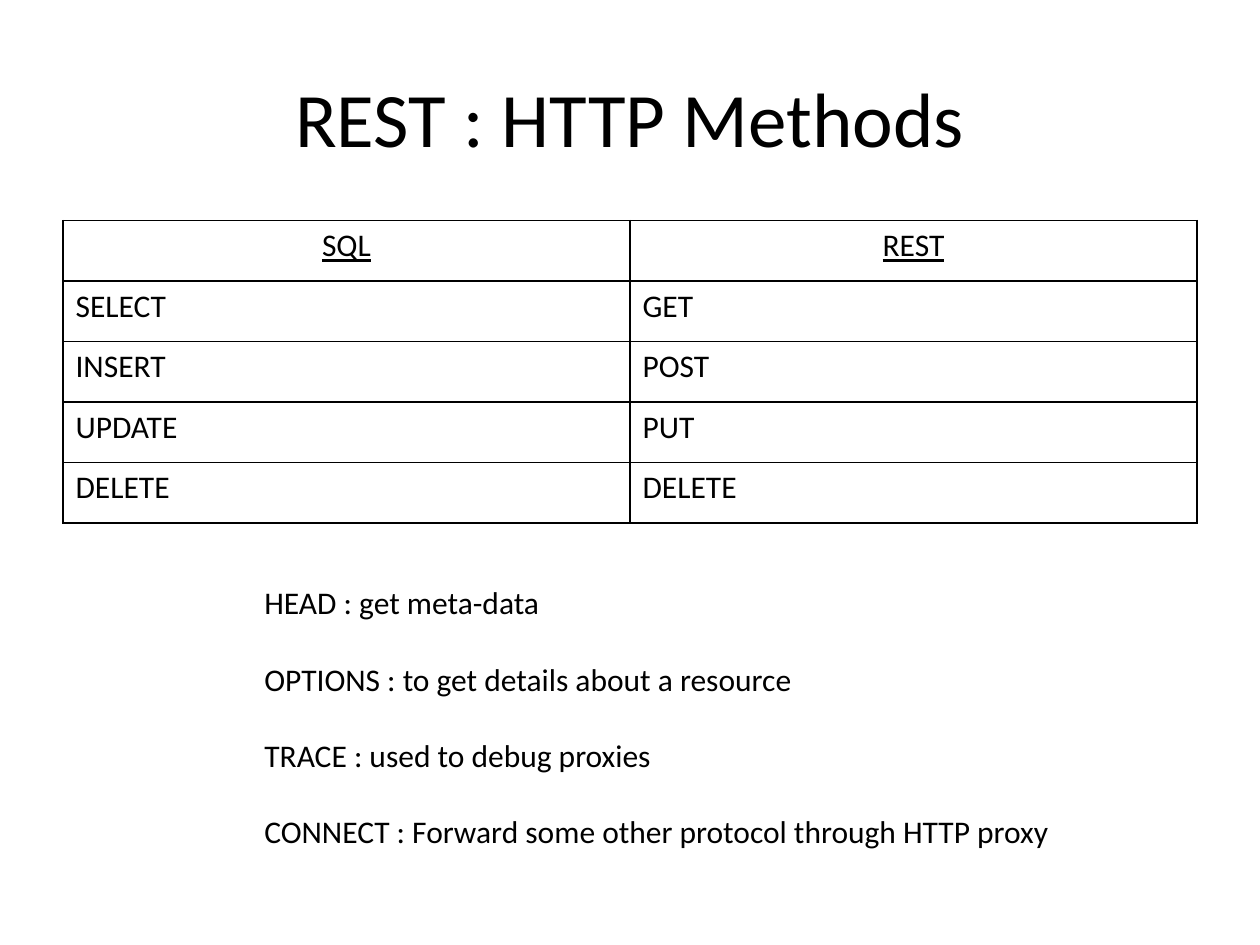
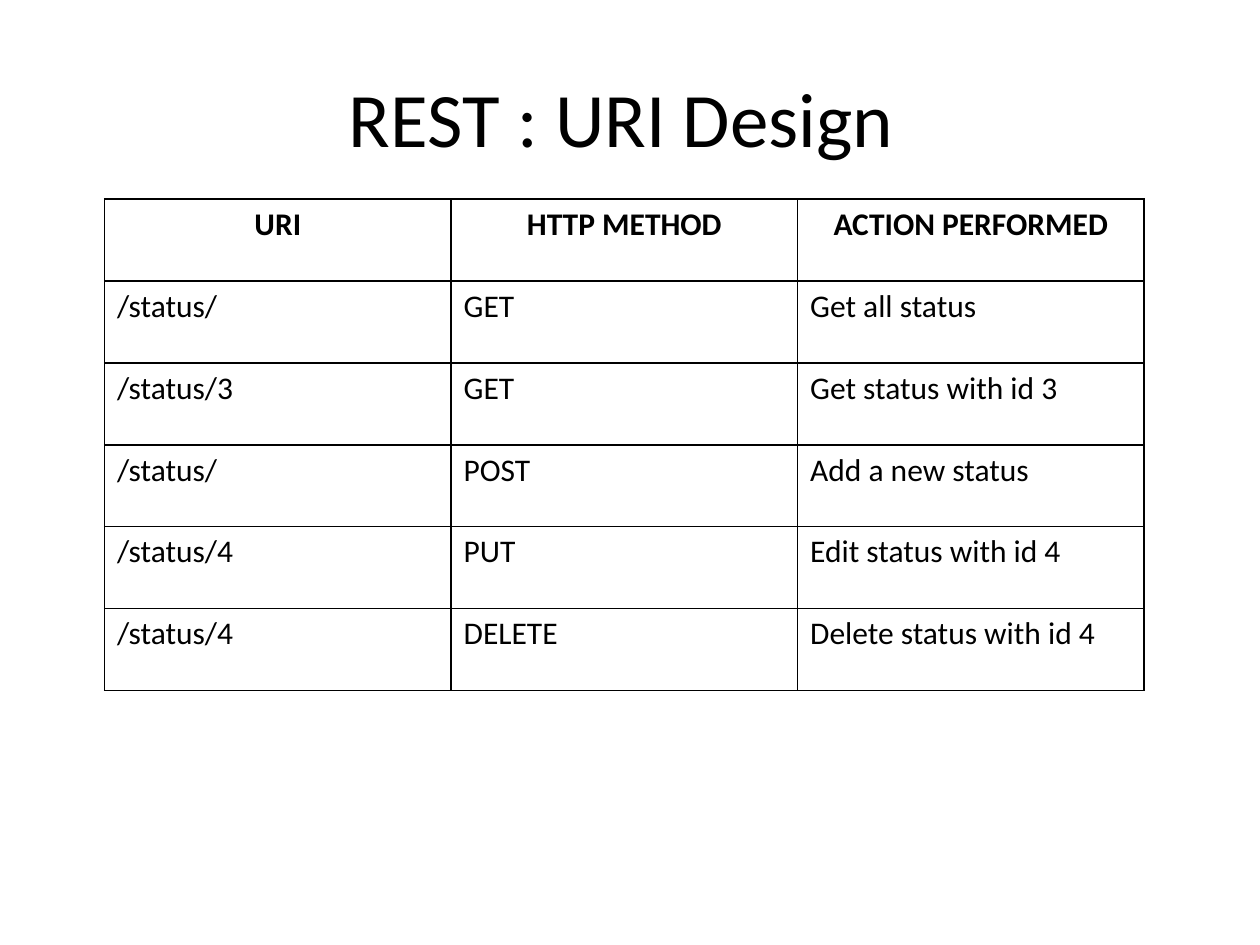
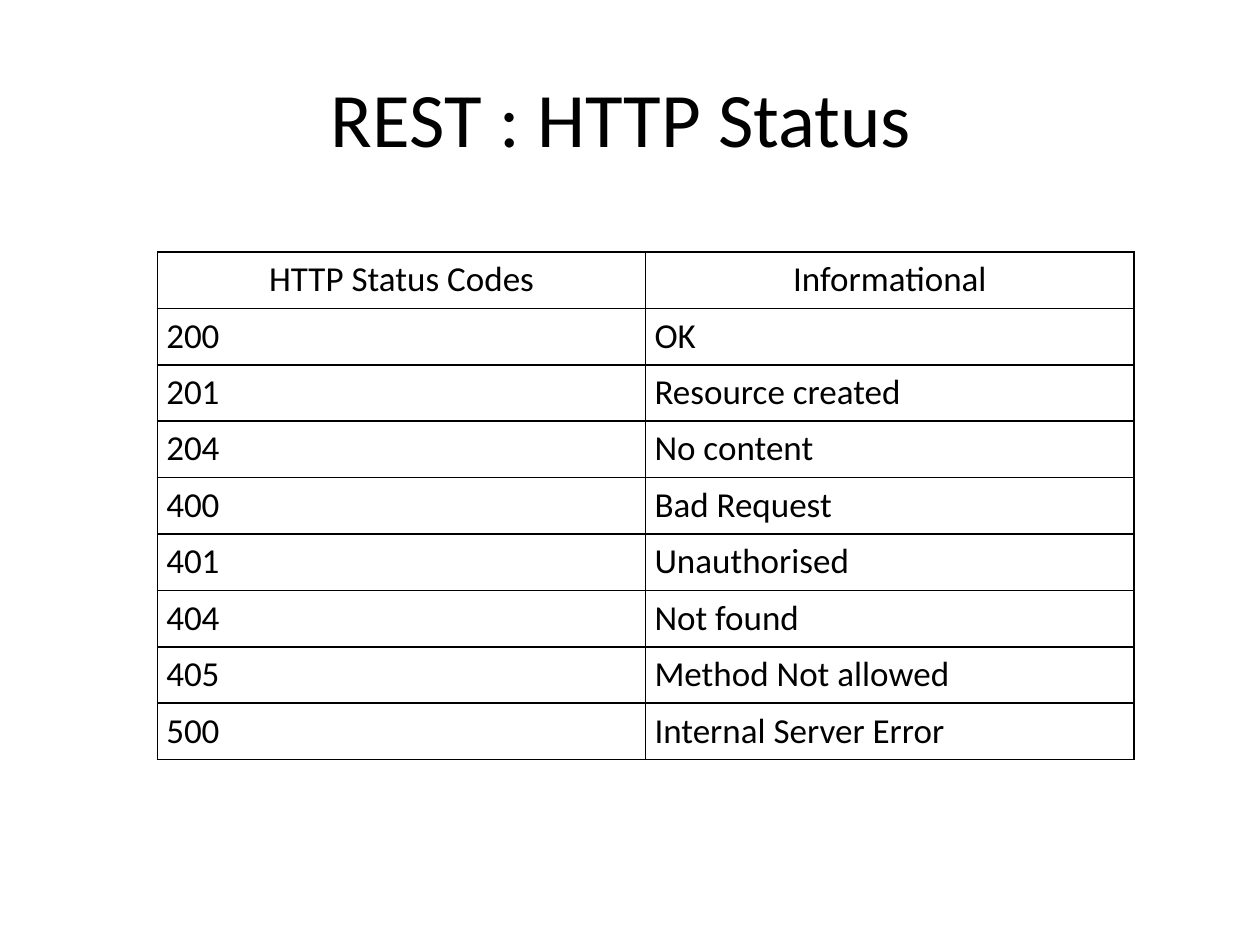
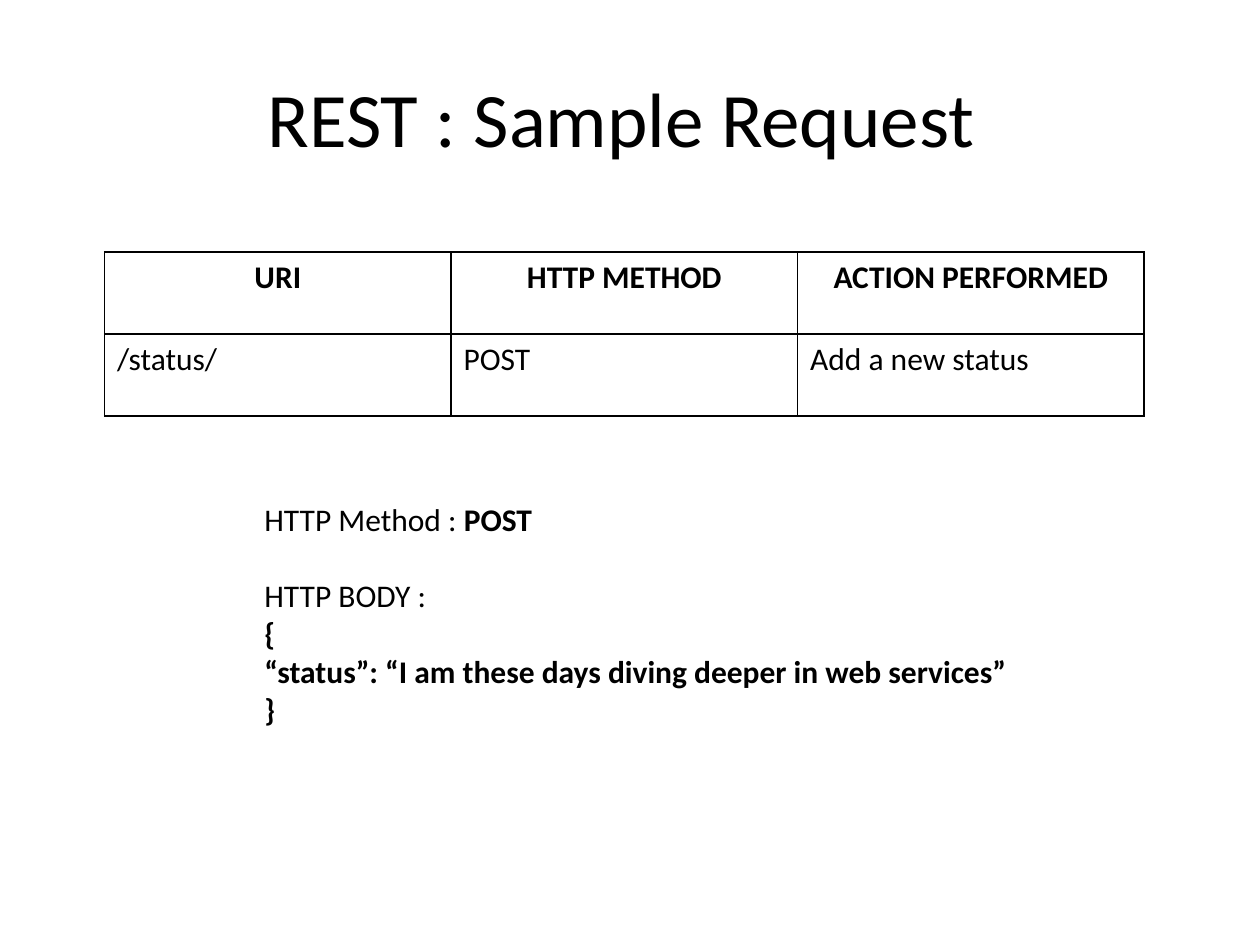
from dataclasses import dataclass

from lxml.etree import SubElement
from pptx import Presentation
from pptx.dml.color import RGBColor
from pptx.enum.text import MSO_ANCHOR as Anchor, MSO_AUTO_SIZE as AutoSize, PP_ALIGN as Align
from pptx.oxml.ns import qn
from pptx.util import Pt

PX = 9144
TITLE_ONLY = 5


@dataclass(frozen=True)
class Theme:
    font: str = "Calibri"
    ink: str = "000000"
    paper: str = "FFFFFF"
    title: int = 44
    text: int = 18
    large: int = 20
    rule: int = 1
    blank_line: int = 22


THEME = Theme()

SQL_TO_REST = [
    ("SQL", "REST"),
    ("SELECT", "GET"),
    ("INSERT", "POST"),
    ("UPDATE", "PUT"),
    ("DELETE", "DELETE"),
]
URI_HEADER = ("URI", "HTTP METHOD", "ACTION PERFORMED")
ADD_STATUS = ("/status/", "POST", "Add a new status")
URI_DESIGN = [
    URI_HEADER,
    ("/status/", "GET", "Get all status"),
    ("/status/3", "GET", "Get status with id 3"),
    ADD_STATUS,
    ("/status/4", "PUT", "Edit status with id 4"),
    ("/status/4", "DELETE", "Delete status with id 4"),
]
STATUS_CODES = [
    ("HTTP Status Codes", "Informational"),
    ("200", "OK"),
    ("201", "Resource created"),
    ("204", "No content"),
    ("400", "Bad Request"),
    ("401", "Unauthorised"),
    ("404", "Not found"),
    ("405", "Method Not allowed"),
    ("500", "Internal Server Error"),
]
OTHER_METHODS = [
    ("HEAD : get meta-data", "", True),
    ("OPTIONS : to get details about a resource", "", True),
    ("TRACE : used to debug proxies", "", True),
    ("CONNECT : Forward some other protocol through HTTP proxy", "", False),
]
SAMPLE_REQUEST = [
    ("HTTP Method : ", "POST", True),
    ("HTTP BODY :", "", False),
    ("", "{", False),
    ("", "“status”: “I am these days diving deeper in web services”", False),
    ("", "}", False),
]


def px(*lengths):
    return [round(length * PX) for length in lengths]


def style_font(font, size, bold=False, underline=False):
    font.name = THEME.font
    font.size = Pt(size)
    font.bold = bold
    font.underline = underline
    font.color.rgb = RGBColor.from_string(THEME.ink)


def add_titled_slide(deck, heading):
    slide = deck.slides.add_slide(deck.slide_layouts[TITLE_ONLY])
    title = slide.shapes.title
    title.left, title.top, title.width, title.height = px(50, 30, 900, 125)
    title.text_frame.vertical_anchor = Anchor.MIDDLE
    title.text_frame.text = heading
    line = title.text_frame.paragraphs[0]
    line.alignment = Align.CENTER
    style_font(line.font, THEME.title)
    return slide


def add_borders(cell):
    properties = cell._tc.get_or_add_tcPr()
    for side in ("lnL", "lnR", "lnT", "lnB"):
        border = SubElement(properties, qn(f"a:{side}"), w=str(Pt(THEME.rule)))
        fill = SubElement(border, qn("a:solidFill"))
        SubElement(fill, qn("a:srgbClr"), val=THEME.ink)


def fill_cell(cell, text, size, is_header, bold, underline, insets, spacing):
    add_borders(cell)
    cell.fill.solid()
    cell.fill.fore_color.rgb = RGBColor.from_string(THEME.paper)
    side, edge = px(*insets)
    cell.margin_left = cell.margin_right = side
    cell.margin_top = cell.margin_bottom = edge
    cell.text = text
    line = cell.text_frame.paragraphs[0]
    line.alignment = Align.CENTER if is_header else Align.LEFT
    line.line_spacing = spacing
    style_font(line.font, size, bold and is_header, underline and is_header)


def add_grid(slide, box, entries, size=THEME.text, bold=False, underline=False,
             insets=(10, 5), spacing=1.0):
    grid = slide.shapes.add_table(len(entries), len(entries[0]), *px(*box)).table
    grid.horz_banding = False
    for row, texts in enumerate(entries):
        for column, text in enumerate(texts):
            fill_cell(grid.cell(row, column), text, size, row == 0,
                      bold, underline, insets, spacing)


def add_notes_block(slide, box, lines):
    frame = slide.shapes.add_textbox(*px(*box)).text_frame
    frame.word_wrap = True
    frame.auto_size = AutoSize.SHAPE_TO_FIT_TEXT
    for index, (plain, strong, gap_after) in enumerate(lines):
        line = frame.add_paragraph() if index else frame.paragraphs[0]
        style_font(line.font, THEME.text, bold=not plain)
        line.space_after = Pt(THEME.blank_line if gap_after else 0)
        if plain:
            line.add_run().text = plain
        if strong:
            run = line.add_run()
            run.text = strong
            if plain:
                style_font(run.font, THEME.text, bold=True)


def main():
    deck = Presentation()
    deck.slide_width, deck.slide_height = px(1000, 750)

    methods = add_titled_slide(deck, "REST : HTTP Methods")
    add_grid(methods, (50, 175, 900, 240), SQL_TO_REST, underline=True)
    add_notes_block(methods, (200, 458, 650, 252), OTHER_METHODS)

    design = add_titled_slide(deck, "REST : URI Design ")
    add_grid(design, (83, 158, 825, 390), URI_DESIGN, bold=True)

    status = add_titled_slide(deck, "REST : HTTP Status ")
    add_grid(status, (125, 200, 775, 403), STATUS_CODES, size=THEME.large,
             insets=(7, 0), spacing=1.15)

    sample = add_titled_slide(deck, "REST : Sample Request ")
    add_grid(sample, (83, 200, 825, 130), [URI_HEADER, ADD_STATUS], bold=True)
    add_notes_block(sample, (200, 392, 614, 192), SAMPLE_REQUEST)

    deck.save("out.pptx")


if __name__ == "__main__":
    main()
